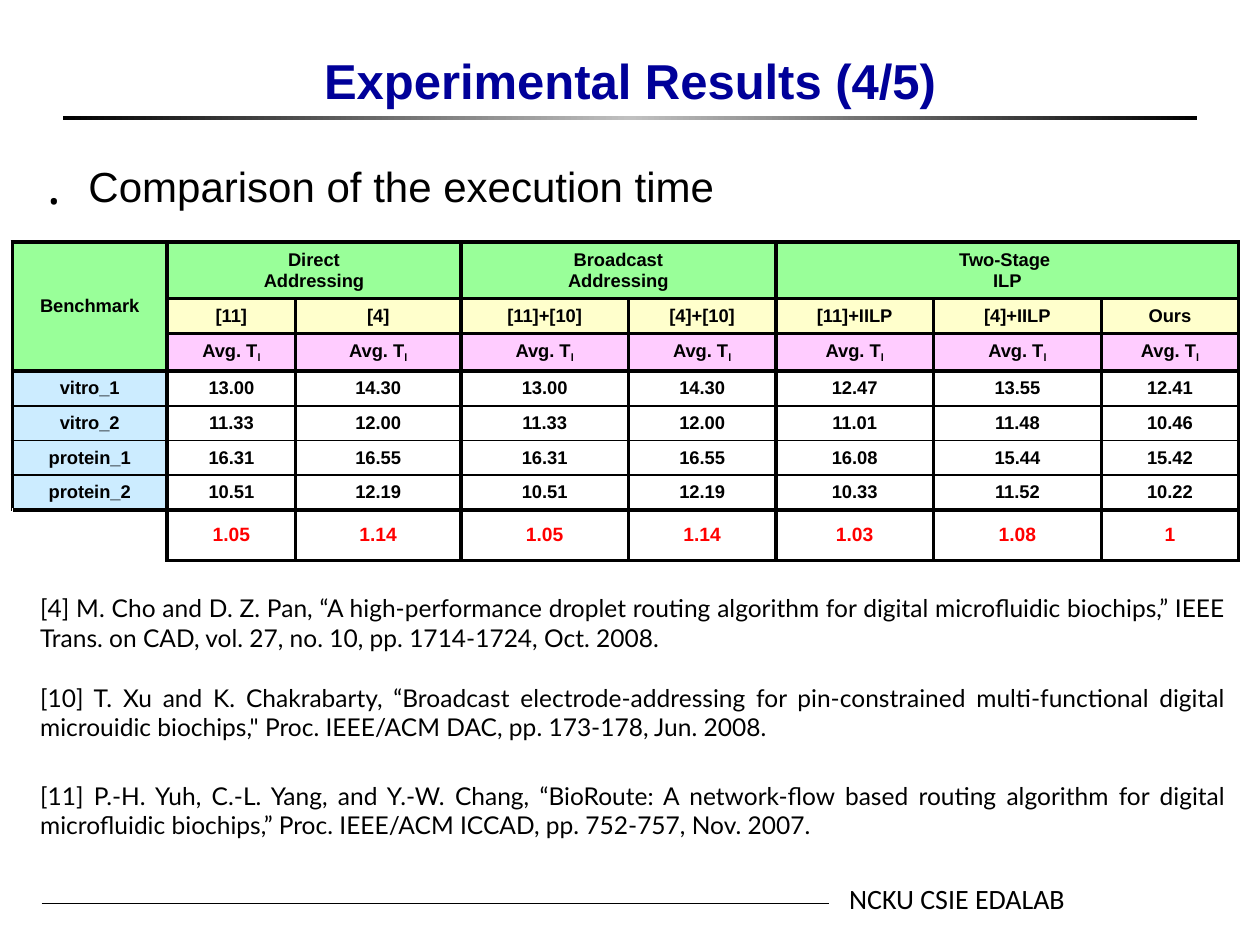
from copy import deepcopy

from lxml.etree import SubElement
from pptx import Presentation
from pptx.dml.color import RGBColor
from pptx.enum.shapes import MSO_CONNECTOR as Connector, MSO_SHAPE as Shape
from pptx.enum.text import MSO_ANCHOR as Anchor, MSO_AUTO_SIZE as AutoSize, PP_ALIGN as Align
from pptx.oxml.ns import qn
from pptx.util import Cm, Pt

BLACK, NAVY, RED = "000000", "000099", "FF0000"
GREEN, YELLOW, PINK, BLUE = "99FF99", "FFFFCC", "FFCCFF", "CCECFF"

COLUMN_WIDTHS = [3.12, 2.59, 3.33, 3.38, 2.97, 3.18, 3.38, 2.77]
HEADER_ROWS, FIRST_ROW_HEIGHT, ROW_HEIGHT = 3, 0.74, 0.61
# First column, number of columns, lines of the heading
GROUPS = [
    (1, 2, ["Direct", "Addressing"]),
    (3, 2, ["Broadcast", "Addressing"]),
    (5, 3, ["Two-Stage ", "ILP"]),
]
METHODS = ["[11]", "[4]", "[11]+[10]", "[4]+[10]", "[11]+IILP", "[4]+IILP", "Ours"]
TIMES = [
    ["vitro_1", "13.00", "14.30", "13.00", "14.30", "12.47", "13.55", "12.41"],
    ["vitro_2", "11.33", "12.00", "11.33", "12.00", "11.01", "11.48", "10.46"],
    ["protein_1", "16.31", "16.55", "16.31", "16.55", "16.08", "15.44", "15.42"],
    ["protein_2", "10.51", "12.19", "10.51", "12.19", "10.33", "11.52", "10.22"],
]
RATIOS = ["1.05", "1.14", "1.05", "1.14", "1.03", "1.08", "1"]

# Distance from the top of the reference area, text
REFERENCES = [
    (0, "[4] M. Cho and D. Z. Pan, “A high-performance droplet routing algorithm for digital "
        "microfluidic biochips,” IEEE Trans. on CAD, vol. 27, no. 10, pp. 1714-1724, Oct. 2008."),
    (1.8, "[10] T. Xu and K. Chakrabarty, “Broadcast electrode-addressing for pin-constrained "
          "multi-functional digital microuidic biochips,\" Proc. IEEE/ACM DAC, pp. 173-178, Jun. 2008."),
    (3.78, "[11] P.-H. Yuh, C.-L. Yang, and Y.-W. Chang, “BioRoute: A network-flow based routing "
           "algorithm for digital microfluidic biochips,” Proc. IEEE/ACM ICCAD, pp. 752-757, Nov. 2007."),
]


def color(value):
    return RGBColor.from_string(value)


def add_span(para, text, size, font="Arial", ink=BLACK, bold=False):
    span = para.add_run()
    span.text = text
    span.font.size, span.font.name, span.font.bold = Pt(size), font, bold
    span.font.color.rgb = color(ink)
    return span


def place(shape, box):
    shape.left, shape.top, shape.width, shape.height = map(Cm, box)


def add_text_box(page, box, text, size, font, align):
    text_box = page.shapes.add_textbox(*map(Cm, box))
    frame = text_box.text_frame
    frame.word_wrap = True
    frame.auto_size = AutoSize.SHAPE_TO_FIT_TEXT
    para = frame.paragraphs[0]
    para.alignment = align
    add_span(para, text, size, font)


def add_heading(page, box):
    left, top, width, height = box
    # Title
    title = page.shapes.title
    place(title, (left + 0.63, top, width - 1.26, height))
    title.text_frame.vertical_anchor = Anchor.BOTTOM
    title.text_frame.auto_size = AutoSize.NONE
    para = title.text_frame.paragraphs[0]
    para.alignment = Align.CENTER
    add_span(para, "Experimental Results (4/5)", 28, ink=NAVY, bold=True)
    # Rule that fades to grey in the middle
    rule = page.shapes.add_shape(Shape.RECTANGLE, *map(Cm, (left, top + height, width, 0.08)))
    rule.shadow.inherit = False
    rule.line.fill.background()
    rule.fill.gradient()
    rule.fill.gradient_angle = 0
    for stop in rule.fill.gradient_stops:
        stop.color.rgb = color(BLACK)
    first = next(rule.element.iter(qn("a:gs")))
    middle = deepcopy(first)
    middle.set("pos", "50000")
    middle.find(qn("a:srgbClr")).set("val", "C0C0C0")
    first.addnext(middle)


def add_body(page, box):
    body = page.placeholders[1]
    place(body, box)
    body.text_frame.auto_size = AutoSize.NONE
    para = body.text_frame.paragraphs[0]
    para.line_spacing = 0.9
    add_span(para, "Comparison of the execution time", 24)
    # Hanging bullet, with space before it in per cent
    props = para._p.get_or_add_pPr()
    props.set("marL", str(Cm(0.95)))
    props.set("indent", str(-Cm(0.95)))
    before = SubElement(props, qn("a:spcBef"))
    SubElement(before, qn("a:spcPct"), val="20000")
    bullet_color = SubElement(props, qn("a:buClr"))
    SubElement(bullet_color, qn("a:srgbClr"), val=BLACK)
    SubElement(props, qn("a:buSzPct"), val="120000")
    SubElement(props, qn("a:buChar"), char="․")


def set_borders(cell, sides):
    """Draw black borders; sides maps L, R, T and B to widths in points."""
    props = cell._tc.get_or_add_tcPr()
    for side in "LRTB":
        if side in sides:
            line = SubElement(props, qn(f"a:ln{side}"), w=str(Pt(sides[side])))
            fill = SubElement(line, qn("a:solidFill"))
            SubElement(fill, qn("a:srgbClr"), val=BLACK)


def fill_cell(cell, lines, fill=None, ink=BLACK, size=10.5):
    if fill:
        cell.fill.solid()
        cell.fill.fore_color.rgb = color(fill)
    cell.vertical_anchor = Anchor.MIDDLE
    para = cell.text_frame.paragraphs[0]
    para.alignment = Align.CENTER
    for index, text in enumerate(lines):
        if index:
            para.add_line_break()
        add_span(para, text, size, ink=ink, bold=True)
    return para


def add_time_table(page, left, top):
    row_count = HEADER_ROWS + len(TIMES) + 1
    heights = [FIRST_ROW_HEIGHT] + [ROW_HEIGHT] * (row_count - 1)
    frame = page.shapes.add_table(row_count, len(COLUMN_WIDTHS), Cm(left), Cm(top),
                                  Cm(sum(COLUMN_WIDTHS)), Cm(sum(heights)))
    table = frame.table
    table.first_row = table.horz_banding = False
    for column, width in zip(table.columns, COLUMN_WIDTHS):
        column.width = Cm(width)
    for row, height in zip(table.rows, heights):
        row.height = Cm(height)

    # Borders: thin between the data rows, none around the bottom left corner
    last = row_count - 1
    for y in range(row_count):
        for x in range(len(COLUMN_WIDTHS)):
            sides = dict.fromkeys("LRTB", 2.25)
            if HEADER_ROWS < y < last:
                sides["T"] = 1
            if HEADER_ROWS <= y < last - 1:
                sides["B"] = 1
            if (y, x) == (last, 0):
                sides = {"R": 2.25, "T": 2.25}
            cell = table.cell(y, x)
            set_borders(cell, sides)
            cell.fill.background()

    # Header rows
    table.cell(0, 0).merge(table.cell(HEADER_ROWS - 1, 0))
    fill_cell(table.cell(0, 0), ["Benchmark"], GREEN)
    for x, count, lines in GROUPS:
        table.cell(0, x).merge(table.cell(0, x + count - 1))
        fill_cell(table.cell(0, x), lines, GREEN)
    for x, method in enumerate(METHODS, start=1):
        fill_cell(table.cell(1, x), [method], YELLOW)
        para = fill_cell(table.cell(2, x), ["Avg. T"], PINK)
        subscript = add_span(para, "l", 10.5, bold=True)
        subscript.font._element.set("baseline", "-25000")

    # Times and their ratios
    for y, times in enumerate(TIMES, start=HEADER_ROWS):
        for x, text in enumerate(times):
            fill_cell(table.cell(y, x), [text], None if x else BLUE)
        name = table.cell(y, 0)
        name.margin_left = name.margin_right = Cm(0.18)
        name.margin_top = name.margin_bottom = 0
    for x, ratio in enumerate(RATIOS, start=1):
        fill_cell(table.cell(last, x), [ratio], ink=RED, size=11)


def add_references(page, left, top, width):
    for offset, text in REFERENCES:
        add_text_box(page, (left, top + offset, width, 1.45), text, 14, "Lato", Align.JUSTIFY)


def add_footer(page, box):
    left, top, width, height = box
    line_y, line_end = Cm(top + 0.56), Cm(left + 15.87)
    line = page.shapes.add_connector(Connector.STRAIGHT, Cm(left), line_y, line_end, line_y)
    line.line.color.rgb = color(BLACK)
    line.line.width = Pt(0.5)
    SubElement(line.element.spPr, qn("a:effectLst"))
    add_text_box(page, (left + 16.03, top, width - 16.03, height),
                 "NCKU CSIE EDALAB", 16, "Calibri", Align.LEFT)


def main():
    deck = Presentation()
    deck.slide_width, deck.slide_height = Cm(25.4), Cm(19.05)
    page = deck.slides.add_slide(deck.slide_layouts[1])
    add_heading(page, (1.27, 0, 22.86, 2.34))
    add_footer(page, (0.84, 17.65, 21.59, 0.94))
    add_body(page, (0.58, 3.23, 22.66, 14.25))
    add_time_table(page, 0.25, 4.88)
    add_references(page, 0.56, 11.84, 24.41)
    deck.save("out.pptx")


if __name__ == "__main__":
    main()
